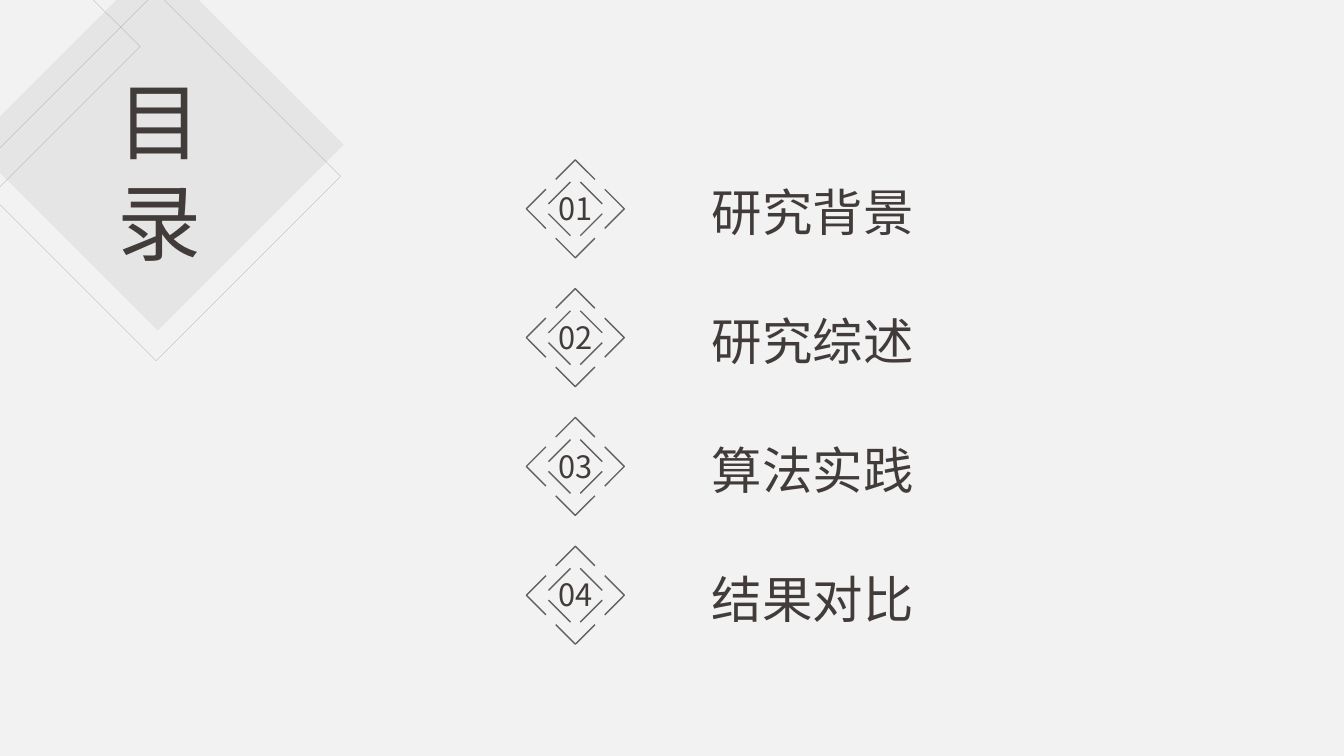
from dataclasses import dataclass
from typing import Any, Optional

import lxml.etree
import pptx
import pptx.dml.color
import pptx.enum.shapes
import pptx.enum.text
import pptx.oxml.ns
import pptx.util

Pt = pptx.util.Pt
Point = tuple[float, float]


@dataclass(frozen=True)
class Theme:
    font: str = "Noto Sans CJK SC"
    background: str = "F2F2F2"
    text: str = "413B39"
    badge_line: str = "616161"
    diamond_fill: str = "A6A6A6"
    diamond_line: str = "808080"
    title_size: float = 60
    topic_size: float = 36
    number_size: float = 22


@dataclass(frozen=True)
class Stroke:
    color: str
    width: float
    opacity: int = 100


@dataclass(frozen=True)
class Frame:
    left: float
    top: float
    width: float
    height: float


@dataclass(frozen=True)
class Diamond:
    frame: Frame
    fill: Optional[str] = None
    opacity: int = 100
    stroke: Optional[Stroke] = None


THEME = Theme()
FAINT_STROKE = Stroke(THEME.diamond_line, 0.25, 48)
BADGE_STROKE = Stroke(THEME.badge_line, 1)
BACK_DIAMOND = Diamond(Frame(-20.2, -29.5, 265.7, 265.7), fill=THEME.diamond_fill, opacity=16)
OUTLINE_DIAMOND = Diamond(Frame(-20.2, -5.8, 263.5, 263.5), stroke=FAINT_STROKE)
CORNER_POINTS = [(-1.4, -67.7), (100.1, 33.2), (-1.4, 134.6)]
TITLE_FRAME = Frame(70.5, 46, 87, 152.6)
TOPICS = ["研究背景", "研究综述", "算法实践", "结果对比"]
TOPIC_PITCH = 92
TOPIC_FRAME = Frame(444.8, 77, 271.4, 375.2)
BADGE_CENTER = (411, 149.2)
BADGE_TIP, BADGE_ARM = 35, 14
TICK_INNER, TICK_OUTER = 3.5, 19.2


def rgb(color: str) -> pptx.dml.color.RGBColor:
    return pptx.dml.color.RGBColor.from_string(color)


def set_opacity(shape: Any, opacity: int) -> None:
    if opacity < 100:
        for color in shape._element.spPr.iter(pptx.oxml.ns.qn("a:srgbClr")):
            alpha = lxml.etree.SubElement(color, pptx.oxml.ns.qn("a:alpha"))
            alpha.set("val", str(opacity * 1000))


def apply_stroke(shape: Any, stroke: Stroke) -> None:
    shape.line.color.rgb = rgb(stroke.color)
    shape.line.width = Pt(stroke.width)
    set_opacity(shape, stroke.opacity)


def place(box: Any, frame: Frame) -> None:
    box.left, box.top = Pt(frame.left), Pt(frame.top)
    box.width, box.height = Pt(frame.width), Pt(frame.height)


def format_text(box: Any, size: float, pitch: float, align: Any) -> None:
    text_frame = box.text_frame
    text_frame.word_wrap = True
    text_frame.auto_size = pptx.enum.text.MSO_AUTO_SIZE.NONE
    text_frame.vertical_anchor = pptx.enum.text.MSO_ANCHOR.TOP
    for para in text_frame.paragraphs:
        para.alignment = align
        para.line_spacing = Pt(pitch)
        para.space_before = para.space_after = Pt(0)
        properties = para._p.get_or_add_pPr()
        properties.set("marL", "0")
        properties.set("indent", "0")
        lxml.etree.SubElement(properties, pptx.oxml.ns.qn("a:buNone"))
        for span in para.runs:
            span.font.name = THEME.font
            span.font.size = Pt(size)
            span.font.color.rgb = rgb(THEME.text)
            east_asian = lxml.etree.SubElement(span.font._element, pptx.oxml.ns.qn("a:ea"))
            east_asian.set("typeface", THEME.font)


def draw_diamond(shapes: Any, diamond: Diamond) -> None:
    frame = diamond.frame
    shape = shapes.add_shape(
        pptx.enum.shapes.MSO_SHAPE.DIAMOND,
        Pt(frame.left), Pt(frame.top), Pt(frame.width), Pt(frame.height),
    )
    shape.shadow.inherit = False
    if diamond.fill:
        shape.fill.solid()
        shape.fill.fore_color.rgb = rgb(diamond.fill)
        set_opacity(shape, diamond.opacity)
    else:
        shape.fill.background()
    if diamond.stroke:
        apply_stroke(shape, diamond.stroke)
    else:
        shape.line.fill.background()


def draw_outline(shapes: Any, points: list[Point], stroke: Stroke, close: bool) -> None:
    corners = [(Pt(x), Pt(y)) for x, y in points]
    builder = shapes.build_freeform(*corners[0])
    builder.add_line_segments(corners[1:], close=close)
    shape = builder.convert_to_shape()
    shape.shadow.inherit = False
    shape.fill.background()
    apply_stroke(shape, stroke)


def draw_tick(shapes: Any, start: Point, end: Point) -> None:
    tick = shapes.add_connector(
        pptx.enum.shapes.MSO_CONNECTOR.STRAIGHT,
        Pt(start[0]), Pt(start[1]), Pt(end[0]), Pt(end[1]),
    )
    apply_stroke(tick, BADGE_STROKE)
    lxml.etree.SubElement(tick._element.spPr, pptx.oxml.ns.qn("a:effectLst"))


def draw_badge(page: Any, number: int, x: float, y: float) -> None:
    shapes = page.shapes.add_group_shape().shapes
    base = BADGE_TIP - BADGE_ARM
    for across, down in [(0, -1), (-1, 0), (1, 0), (0, 1)]:
        chevron = [
            (x + across * reach + down * side, y + down * reach + across * side)
            for reach, side in [(base, -BADGE_ARM), (BADGE_TIP, 0), (base, BADGE_ARM)]
        ]
        draw_outline(shapes, chevron, BADGE_STROKE, close=False)
    for across in (-1, 1):
        for down in (-1, 1):
            draw_tick(
                shapes,
                (x + across * TICK_INNER, y + down * TICK_OUTER),
                (x + across * TICK_OUTER, y + down * TICK_INNER),
            )
    box = shapes.add_textbox(Pt(x - 27.2), Pt(y - 17.4), Pt(54), Pt(33.8))
    box.text_frame.text = f"{number:02d}"
    format_text(box, THEME.number_size, 26.6, pptx.enum.text.PP_ALIGN.CENTER)


def main() -> None:
    deck = pptx.Presentation()
    deck.slide_width, deck.slide_height = Pt(960), Pt(540)
    page = deck.slides.add_slide(deck.slide_layouts[1])
    page.background.fill.solid()
    page.background.fill.fore_color.rgb = rgb(THEME.background)

    draw_diamond(page.shapes, BACK_DIAMOND)
    draw_outline(page.shapes, CORNER_POINTS, FAINT_STROKE, close=True)
    draw_diamond(page.shapes, OUTLINE_DIAMOND)

    title, topics = page.shapes.title, page.placeholders[1]
    title.text_frame.text = "目录"
    topics.text_frame.text = "\n".join(TOPICS)
    place(title, TITLE_FRAME)
    place(topics, TOPIC_FRAME)
    format_text(title, THEME.title_size, 72, pptx.enum.text.PP_ALIGN.CENTER)
    format_text(topics, THEME.topic_size, TOPIC_PITCH, pptx.enum.text.PP_ALIGN.CENTER)
    for box in (title, topics):
        page.shapes._spTree.append(box._element)

    x, y = BADGE_CENTER
    for index in range(len(TOPICS)):
        draw_badge(page, index + 1, x, y + index * TOPIC_PITCH)
    deck.save("out.pptx")


if __name__ == "__main__":
    main()
